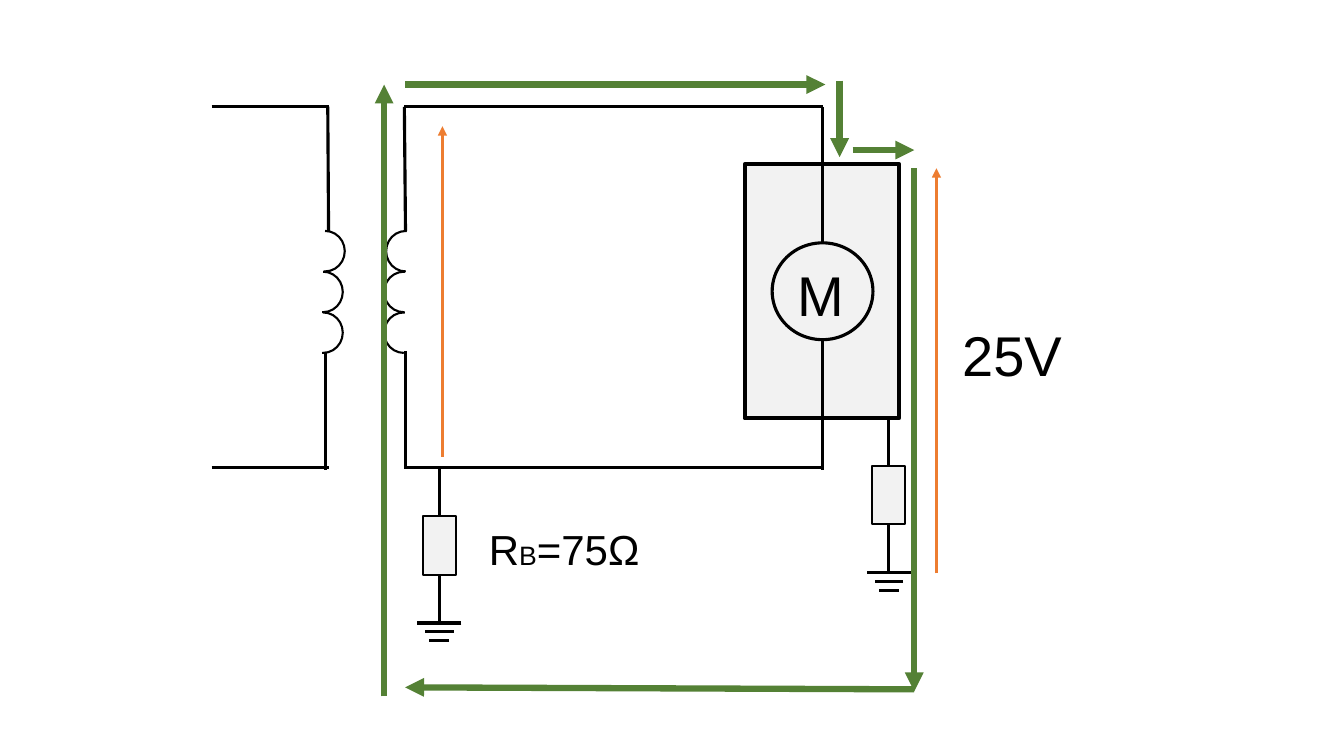
from collections import namedtuple

from lxml import etree
from pptx import Presentation
from pptx import util as u
from pptx.dml.color import RGBColor
from pptx.enum import shapes, text
from pptx.oxml import ns

Box = namedtuple("Box", "x y w h")  # all lengths in cm

COLOURS = {
    "wire": "000000",
    "body": "F2F2F2",
    "fault": "548135",
    "voltage": "ED7D31",
}
WIRE_PT, THIN_PT, FAULT_PT, FRAME_PT = 2.25, 1.5, 4.5, 3


def colour(name):
    return RGBColor.from_string(COLOURS[name])


def add_wire(slide, start, end, ink="wire", width=WIRE_PT, arrow=False):
    wire = slide.shapes.add_connector(
        shapes.MSO_CONNECTOR.STRAIGHT, *(u.Cm(v) for v in (*start, *end)))
    wire.line.color.rgb = colour(ink)
    wire.line.width = u.Pt(width)
    if arrow:
        etree.SubElement(wire.get_or_add_ln(), ns.qn("a:tailEnd"), type="triangle")
    etree.SubElement(wire._element.spPr, ns.qn("a:effectLst"))
    return wire


def add_part(slide, kind, box, width, fill=None):
    part = slide.shapes.add_shape(kind, *(u.Cm(v) for v in box))
    part.shadow.inherit = False
    if fill:
        part.fill.solid()
        part.fill.fore_color.rgb = colour(fill)
    else:
        part.fill.background()
    part.line.color.rgb = colour("wire")
    part.line.width = u.Pt(width)
    return part


def add_label(slide, box, runs, inset=0.13):
    label = slide.shapes.add_textbox(*(u.Cm(v) for v in box))
    frame = label.text_frame
    frame.word_wrap = True
    frame.auto_size = text.MSO_AUTO_SIZE.SHAPE_TO_FIT_TEXT
    frame.margin_left = frame.margin_right = u.Cm(0.25)
    frame.margin_top = frame.margin_bottom = u.Cm(inset)
    for words, size in runs:
        run = frame.paragraphs[0].add_run()
        run.text = words
        run.font.name = "Arial"
        run.font.size = u.Pt(size)
        run.font.color.rgb = colour("wire")


def add_winding(slide, box, rotation=0):
    """Three half turns, the top one set slightly to the right."""
    pitch = box.h / 3
    for row in range(3):
        shift = 0.05 if row == 0 else 0
        turn = add_part(slide, shapes.MSO_SHAPE.ARC,
                        Box(box.x + shift, box.y + row * pitch, box.w, 1.02), THIN_PT)
        turn.adjustments[0] = 162
        turn.adjustments[1] = 55.656
        turn.rotation = rotation


def add_primary(slide, box):
    right, bottom = box.x + box.w, box.y + box.h
    add_winding(slide, Box(right - 0.63, box.y + 3.13, 0.99, 3.08))
    for y in (box.y, bottom):
        add_wire(slide, (box.x, y), (right, y))
    add_wire(slide, (right - 0.02, box.y), (right, box.y + 3.13))
    add_wire(slide, (right - 0.08, box.y + 6.2), (right - 0.08, bottom + 0.05))


def add_secondary(slide, box):
    """Secondary winding and the loop that feeds the motor."""
    right, bottom = box.x + box.w, box.y + box.h
    add_winding(slide, Box(box.x - 0.51, box.y + 3.13, 0.99, 3.08), 180)
    for y in (box.y, bottom):
        add_wire(slide, (box.x, y), (right, y))
    add_wire(slide, (box.x, box.y), (box.x + 0.03, box.y + 3.13))
    add_wire(slide, (box.x + 0.03, box.y + 6.15), (box.x + 0.03, bottom))
    add_wire(slide, (right, box.y), (right, box.y + 3.43))
    add_wire(slide, (right, box.y + 5.87), (right, bottom + 0.05))


def add_motor(slide, box):
    add_part(slide, shapes.MSO_SHAPE.RECTANGLE, box, FRAME_PT, "body")
    rotor = Box(box.x + 0.69, box.y + 1.98, 2.54, 2.44)
    add_part(slide, shapes.MSO_SHAPE.OVAL, rotor, WIRE_PT)
    add_label(slide, Box(rotor.x + 0.38, rotor.y + 0.31, 1.83, 1.96), [("M", 40)])


def add_earth(slide, box):
    """Resistor between two leads, ending in an earth symbol."""
    centre = box.x + box.w / 2
    resistor = add_part(slide, shapes.MSO_SHAPE.RECTANGLE,
                        Box(centre - 0.42, box.y + 1.22, 0.84, 1.47), THIN_PT, "body")
    bars_top = box.y + box.h - 0.45
    upper = add_wire(slide, (centre, box.y), (centre, box.y + 1.22))
    upper.end_connect(resistor, 0)
    lower = add_wire(slide, (centre, box.y + 2.69), (centre, bars_top))
    lower.begin_connect(resistor, 2)
    for drop, half in ((0, 0.56), (0.22, 0.36), (0.45, 0.25)):
        y = bars_top + drop
        add_wire(slide, (centre + half, y), (centre - half, y))


def add_fault_path(slide, box):
    """Arrows that follow the fault current clockwise."""
    right, bottom = box.x + box.w, box.y + box.h
    steps = [
        ((box.x + 0.53, box.y), (box.x + 11.12, box.y)),
        ((box.x + 11.48, box.y - 0.1), (box.x + 11.48, box.y + 1.83)),
        ((box.x + 11.81, box.y + 1.65), (right, box.y + 1.65)),
        ((right, box.y + 2.11), (right, bottom - 0.13)),
        ((right, bottom - 0.18), (box.x + 0.53, bottom - 0.23)),
        ((box.x, bottom), (box.x, box.y)),
    ]
    for start, end in steps:
        add_wire(slide, start, end, "fault", FAULT_PT, arrow=True)


def add_voltage(slide, box):
    add_wire(slide, (box.x, box.y + box.h), (box.x, box.y), "voltage", arrow=True)


def main():
    prs = Presentation()
    prs.slide_width, prs.slide_height = u.Cm(33.87), u.Cm(19.05)
    slide = prs.slides.add_slide(prs.slide_layouts[6])

    # Circuit
    add_motor(slide, Box(18.77, 4.14, 3.89, 6.4))
    add_primary(slide, Box(5.33, 2.69, 2.95, 9.1))
    add_secondary(slide, Box(10.19, 2.69, 10.54, 9.1))
    for x, y in ((10.51, 11.79), (21.84, 10.52)):
        add_earth(slide, Box(x, y, 1.12, 4.36))

    # Fault current and voltages
    add_fault_path(slide, Box(9.68, 2.13, 13.36, 15.42))
    add_voltage(slide, Box(11.15, 3.18, 0, 8.33))
    add_voltage(slide, Box(23.6, 4.24, 0, 10.21))

    # Values
    add_label(slide, Box(24, 7.95, 3.02, 1.96), [("25V", 40)])
    add_label(slide, Box(12.07, 12.95, 4.88, 1.8),
              [("R", 30), ("B", 19), ("=75Ω", 30)], 0.25)

    prs.save("out.pptx")


if __name__ == "__main__":
    main()
